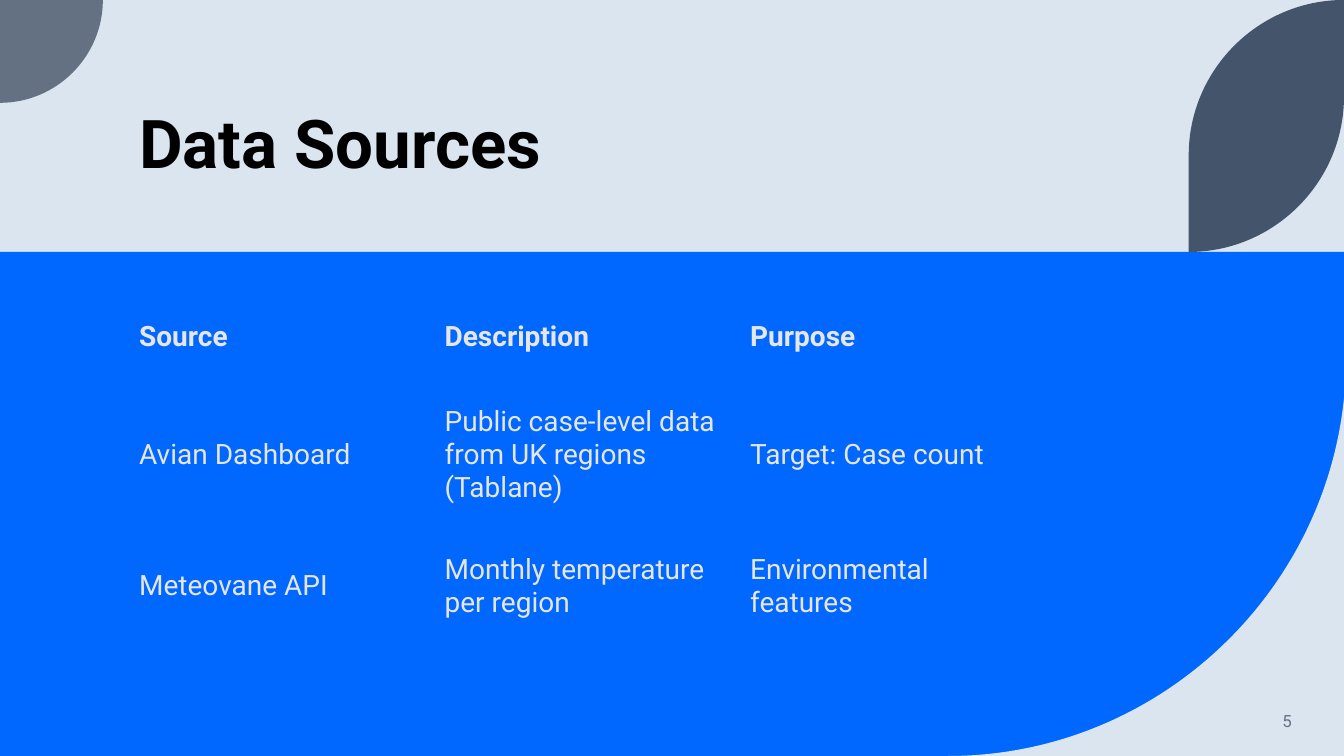
"""Build the Data Sources slide: a title band over a blue panel with a source table."""
from dataclasses import dataclass
from math import cos, radians, sin

from lxml.etree import SubElement
from pptx import Presentation
from pptx.dml.color import RGBColor
from pptx.enum.shapes import MSO_SHAPE
from pptx.enum.text import MSO_ANCHOR, MSO_AUTO_SIZE, PP_ALIGN
from pptx.oxml.ns import qn
from pptx.slide import Slide
from pptx.util import Inches, Pt

WIDTH, HEIGHT = 13.33, 7.5
BAND_BOTTOM = 2.5
PALE, BLUE, GREY, NAVY = "DAE5EF", "0068FF", "637183", "44546A"
BLACK, LIGHT = "000000", "E7E6E6"
ROUNDNESS = 0.55
NO_GRID_STYLE = "{2D5ABB26-0587-4C30-8999-92F81FD0307C}"

SOURCES = [
    ("Source", "Description", "Purpose"),
    ("Avian Dashboard", "Public case-level data from UK regions (Tablane)", "Target: Case count"),
    ("Meteovane API", "Monthly temperature per region", "Environmental features"),
]
ROW_HEIGHTS = (0.82, 1.53, 1.07)
COLUMN_WIDTH = 3.03


@dataclass(frozen=True)
class Arc:
    """A quarter circle, with angles in degrees clockwise from the right."""

    x: float
    y: float
    radius: float
    start: int

    def points(self) -> list[tuple[int, int]]:
        """Give the start, two control points and the end."""
        across, down = cos(radians(self.start)), sin(radians(self.start))
        return [
            (Inches(self.x + self.radius * (along * across - aside * down)),
             Inches(self.y + self.radius * (along * down + aside * across)))
            for along, aside in ((1, 0), (1, ROUNDNESS), (ROUNDNESS, 1), (0, 1))
        ]


@dataclass(frozen=True)
class Petal:
    """A filled outline made of arcs and an optional closing corner."""

    arcs: tuple[Arc, ...]
    colour: str
    corner: tuple[float, float] | None = None


PETALS = (
    Petal((Arc(9.4, 3.55, 3.95, 0),), PALE, (13.35, 7.5)),
    Petal((Arc(0, 0, 1.02, 0),), GREY, (0, 0)),
    Petal((Arc(WIDTH, 1.54, 1.54, 180), Arc(11.79, 0.96, 1.54, 0)), NAVY),
)


def rgb(colour: str) -> RGBColor:
    """Turn a hex string into a colour."""
    return RGBColor.from_string(colour)


def paint(shape, colour: str) -> None:
    """Give a shape a flat fill with no line or shadow."""
    shape.shadow.inherit = False
    shape.fill.solid()
    shape.fill.fore_color.rgb = rgb(colour)
    shape.line.fill.background()


def draw_petal(slide: Slide, petal: Petal) -> None:
    """Draw one decoration, merging each arc's three segments into a curve."""
    outline = [point for arc in petal.arcs for point in arc.points()]
    if petal.corner:
        outline.append(tuple(Inches(value) for value in petal.corner))
    builder = slide.shapes.build_freeform(*outline[0])
    builder.add_line_segments(outline[1:], close=True)
    shape = builder.convert_to_shape()
    segments = shape._element.xpath(".//a:lnTo")
    for index in range(len(petal.arcs)):
        first, *others = segments[4 * index:4 * index + 3]
        curve = SubElement(first.getparent(), qn("a:cubicBezTo"))
        first.addprevious(curve)
        for segment in (first, *others):
            curve.append(segment[0])
            segment.getparent().remove(segment)
    paint(shape, petal.colour)


def write(frame, text: str, size: int, colour: str, bold: bool = False,
          align: PP_ALIGN = PP_ALIGN.LEFT) -> None:
    """Write one formatted paragraph in a text frame."""
    paragraph = frame.paragraphs[0]
    paragraph.alignment = align
    run = paragraph.add_run()
    run.text = text
    for attribute, value in {"name": "Roboto", "size": Pt(size), "bold": bold}.items():
        setattr(run.font, attribute, value)
    run.font.color.rgb = rgb(colour)


def add_heading(slide: Slide) -> None:
    """Place and format the title."""
    title = slide.shapes.title
    place = {"left": 1.28, "top": 0.42, "width": 10.69, "height": 1.45}
    for attribute, value in place.items():
        setattr(title, attribute, Inches(value))
    frame = title.text_frame
    layout = {"vertical_anchor": MSO_ANCHOR.BOTTOM, "auto_size": MSO_AUTO_SIZE.NONE, "word_wrap": True}
    for attribute, value in layout.items():
        setattr(frame, attribute, value)
    write(frame, "Data Sources", 48, BLACK, bold=True)
    frame.paragraphs[0].line_spacing = 0.9


def add_page_number(slide: Slide) -> None:
    """Add the page number at the lower right."""
    frame = slide.shapes.add_textbox(Inches(11.16), Inches(6.95), Inches(1.75), Inches(0.4)).text_frame
    frame.word_wrap = True
    frame.vertical_anchor = MSO_ANCHOR.MIDDLE
    write(frame, "5", 12, GREY, align=PP_ALIGN.RIGHT)


def add_sources(slide: Slide) -> None:
    """Add the unruled table of sources."""
    columns = len(SOURCES[0])
    holder = slide.shapes.add_table(
        len(SOURCES), columns, Inches(1.28), Inches(2.93),
        Inches(COLUMN_WIDTH * columns), Inches(sum(ROW_HEIGHTS)),
    )
    table = holder.table
    table.first_row = table.horz_banding = False
    table._tbl.tblPr[0].text = NO_GRID_STYLE
    for column in table.columns:
        column.width = Inches(COLUMN_WIDTH)
    for index, (entries, height) in enumerate(zip(SOURCES, ROW_HEIGHTS)):
        table.rows[index].height = Inches(height)
        for cell, entry in zip(table.rows[index].cells, entries):
            cell.fill.background()
            cell.vertical_anchor = MSO_ANCHOR.MIDDLE
            write(cell.text_frame, entry, 20, LIGHT, bold=index == 0)


def main() -> None:
    """Build and save the slide."""
    deck = Presentation()
    deck.slide_width, deck.slide_height = Inches(WIDTH), Inches(HEIGHT)
    slide = deck.slides.add_slide(deck.slide_layouts.get_by_name("Title Only"))
    slide.background.fill.solid()
    slide.background.fill.fore_color.rgb = rgb(PALE)
    panel = slide.shapes.add_shape(
        MSO_SHAPE.RECTANGLE, 0, Inches(BAND_BOTTOM), Inches(13.35), Inches(HEIGHT - BAND_BOTTOM)
    )
    paint(panel, BLUE)
    for petal in PETALS:
        draw_petal(slide, petal)
    add_heading(slide)
    add_page_number(slide)
    add_sources(slide)
    deck.save("out.pptx")


if __name__ == "__main__":
    main()
